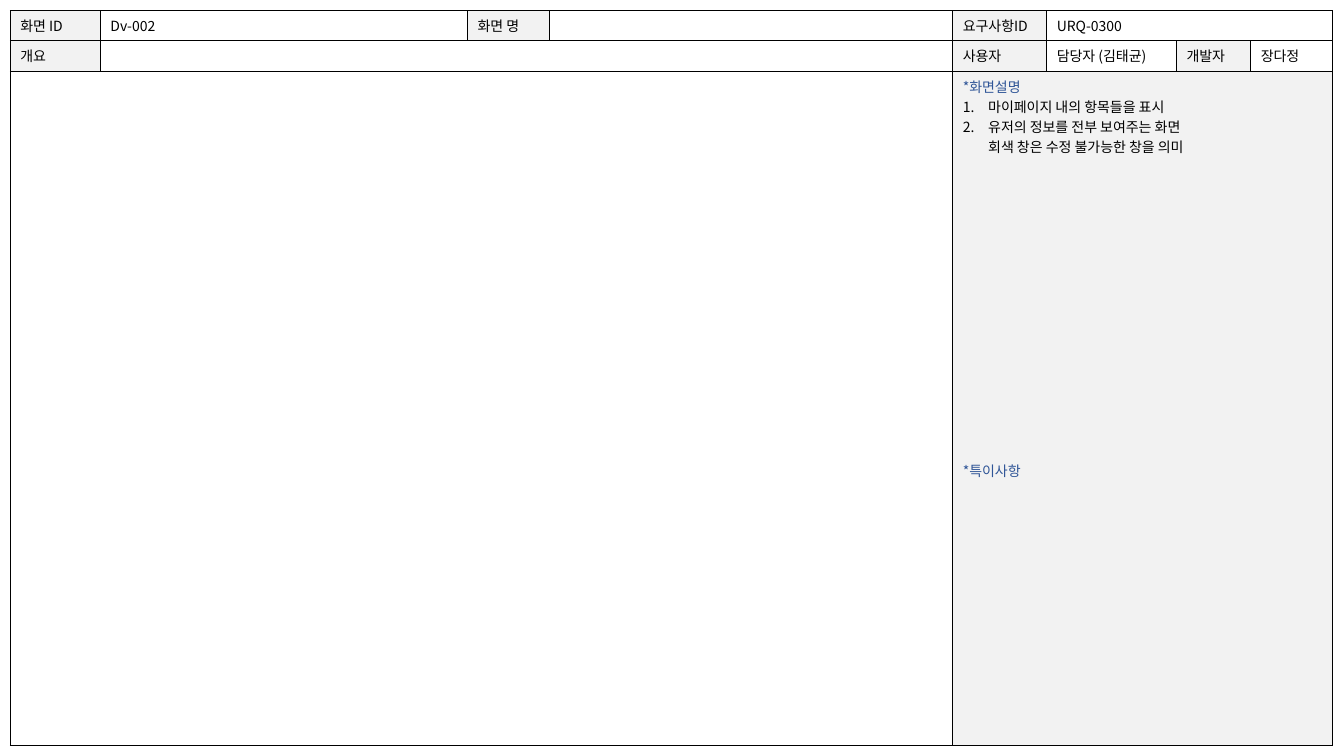
from lxml import etree
from pptx import Presentation
from pptx.dml.color import RGBColor
from pptx.enum.text import MSO_ANCHOR
from pptx.oxml.ns import qn
from pptx.util import Cm, Pt

MIDDLE, TOP = MSO_ANCHOR.MIDDLE, MSO_ANCHOR.TOP
FONT = "Noto Sans CJK KR"
SIZE = 10
COLORS = {"label": "F2F2F2", "value": "FFFFFF", "text": "000000",
          "heading": "2F5597", "border": "000000"}
COLUMN_SHARES = (2.27, 9.25, 2.07, 10.16, 2.37, 3.27, 1.87, 2.06)
HEADER_HEIGHT = 0.76
HEADER_ROWS = (
    ("화면 ID", "Dv-002", "화면 명", "", "요구사항ID", "URQ-0300", "", ""),
    ("개요", "", "", "", "사용자", "담당자 (김태균)", "개발자", "장다정"),
)
LABEL_CELLS = {(0, 0), (0, 2), (0, 4), (1, 0), (1, 4), (1, 6)}
MERGES = (((0, 5), (0, 7)), ((1, 1), (1, 3)), ((2, 0), (2, 3)), ((2, 4), (2, 7)))
DESCRIPTION_HEADING, NOTES_HEADING = "*화면설명", "*특이사항"
DESCRIPTION_ITEMS = (
    "마이페이지 내의 항목들을 표시",
    "유저의 정보를 전부 보여주는 화면\v회색 창은 수정 불가능한 창을 의미",
)
NOTES_GAP = 217


def style_paragraph(paragraph, color):
    """Apply the font, size and colour to runs, line breaks and empty lines."""
    for run in paragraph.runs:
        run.font.name = FONT
        run.font.size = Pt(SIZE)
        run.font.color.rgb = RGBColor.from_string(COLORS[color])
        etree.SubElement(run.font._element, qn("a:ea"), typeface=FONT)
    for line_break in paragraph._p.findall(qn("a:br")):
        etree.SubElement(line_break, qn("a:rPr"), sz=str(SIZE * 100))
    if not paragraph.runs:
        end = etree.SubElement(paragraph._p, qn("a:endParaRPr"), sz=str(SIZE * 100))
        for tag in ("a:latin", "a:ea"):
            etree.SubElement(end, qn(tag), typeface=FONT)


def number_paragraph(paragraph):
    """Give a paragraph an automatic number and a hanging indent."""
    properties = paragraph._p.get_or_add_pPr()
    properties.set("marL", str(Cm(0.64)))
    properties.set("indent", str(-Cm(0.64)))
    etree.SubElement(properties, qn("a:buFont"), typeface=FONT)
    etree.SubElement(properties, qn("a:buAutoNum"), type="arabicPeriod")


def frame_cell(cell, fill, heavy_sides=""):
    """Draw the four borders of a cell and fill it."""
    properties = cell._tc.get_or_add_tcPr()
    for side in "LRTB":
        width = Pt(1 if side in heavy_sides else 0.5)
        line = etree.SubElement(properties, qn(f"a:ln{side}"), w=str(width))
        solid = etree.SubElement(line, qn("a:solidFill"))
        etree.SubElement(solid, qn("a:srgbClr"), val=COLORS["border"])
    cell.fill.solid()
    cell.fill.fore_color.rgb = RGBColor.from_string(COLORS[fill])


def fill_header(table):
    """Write the two rows of labels and values."""
    for row, texts in enumerate(HEADER_ROWS):
        for column, text in enumerate(texts):
            cell = table.cell(row, column)
            cell.text_frame.text = text
            cell.vertical_anchor = MIDDLE
            style_paragraph(cell.text_frame.paragraphs[0], "text")
            frame_cell(cell, "label" if (row, column) in LABEL_CELLS else "value")


def fill_body(table):
    """Frame the empty screen area and write the description beside it."""
    for column in range(len(COLUMN_SHARES)):
        cell = table.cell(2, column)
        cell.vertical_anchor = TOP
        if column < 4:
            frame_cell(cell, "value", "R" if column in (0, 3) else "")
        else:
            frame_cell(cell, "label", "LB" if column == 4 else "B")
        if column != 4:
            style_paragraph(cell.text_frame.paragraphs[0], "text")

    description = table.cell(2, 4).text_frame
    lines = (DESCRIPTION_HEADING, *DESCRIPTION_ITEMS, NOTES_HEADING)
    description.text = "\n".join(lines)
    for paragraph, line in zip(description.paragraphs, lines):
        is_item = line in DESCRIPTION_ITEMS
        style_paragraph(paragraph, "text" if is_item else "heading")
        if is_item:
            number_paragraph(paragraph)
    description.paragraphs[-1].space_before = Pt(NOTES_GAP)


def add_screen_sheet(slide, left, top, width, height):
    """Place the screen definition table in the given box."""
    table = slide.shapes.add_table(3, len(COLUMN_SHARES), left, top, width, height).table
    table.first_row = table.horz_banding = False
    for column, share in zip(table.columns, COLUMN_SHARES):
        column.width = int(width * share / sum(COLUMN_SHARES))
    header_height = Cm(HEADER_HEIGHT)
    for row, row_height in zip(table.rows, (header_height, header_height,
                                            height - 2 * header_height)):
        row.height = row_height
    fill_header(table)
    fill_body(table)
    for first, last in MERGES:
        table.cell(*first).merge(table.cell(*last))


def main():
    """Build and save the slide."""
    presentation = Presentation()
    presentation.slide_width, presentation.slide_height = Cm(33.87), Cm(19.05)
    slide = presentation.slides.add_slide(presentation.slide_layouts[6])
    add_screen_sheet(slide, Cm(0.26), Cm(0.26), Cm(33.32), Cm(18.52))
    presentation.save("out.pptx")


if __name__ == "__main__":
    main()
